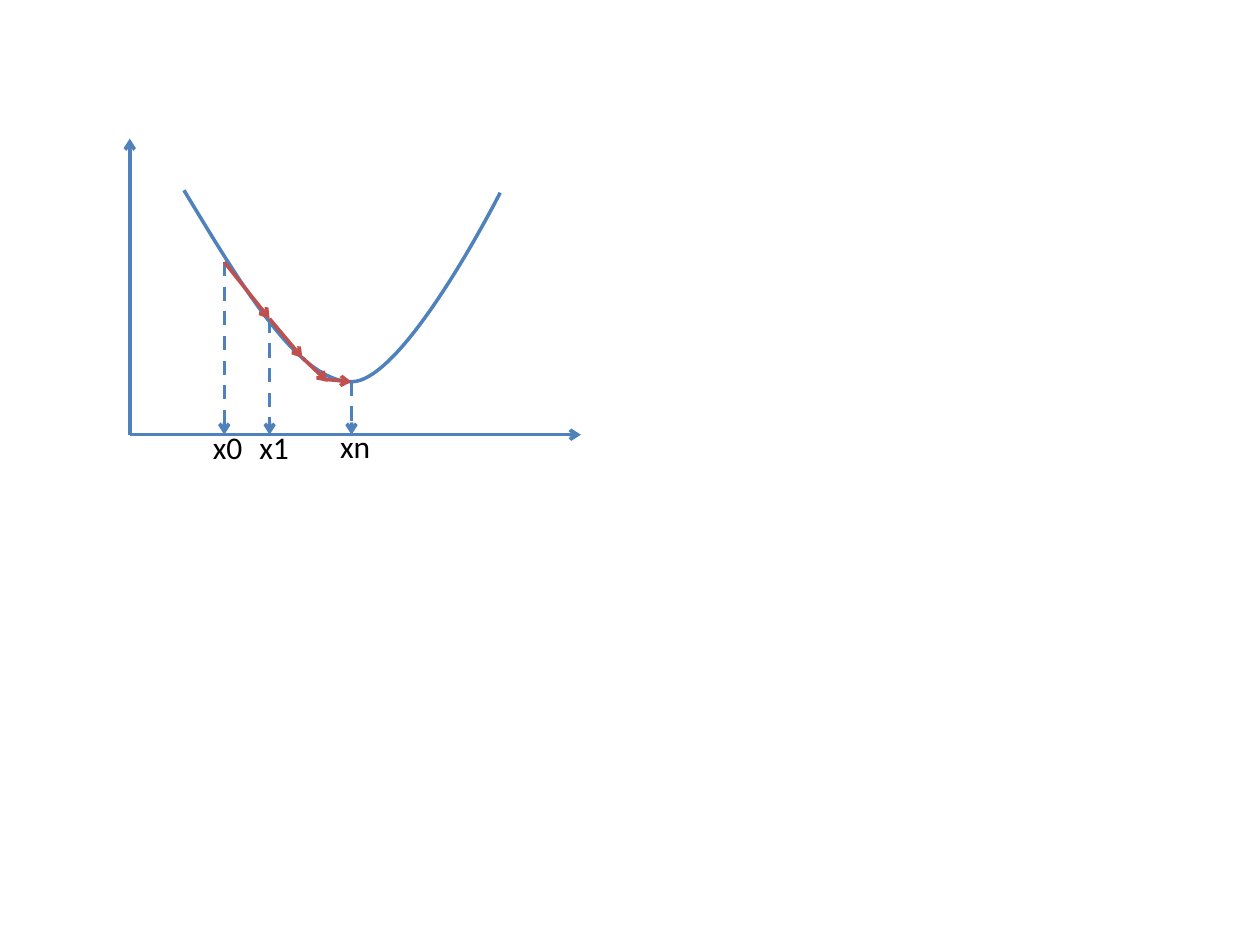
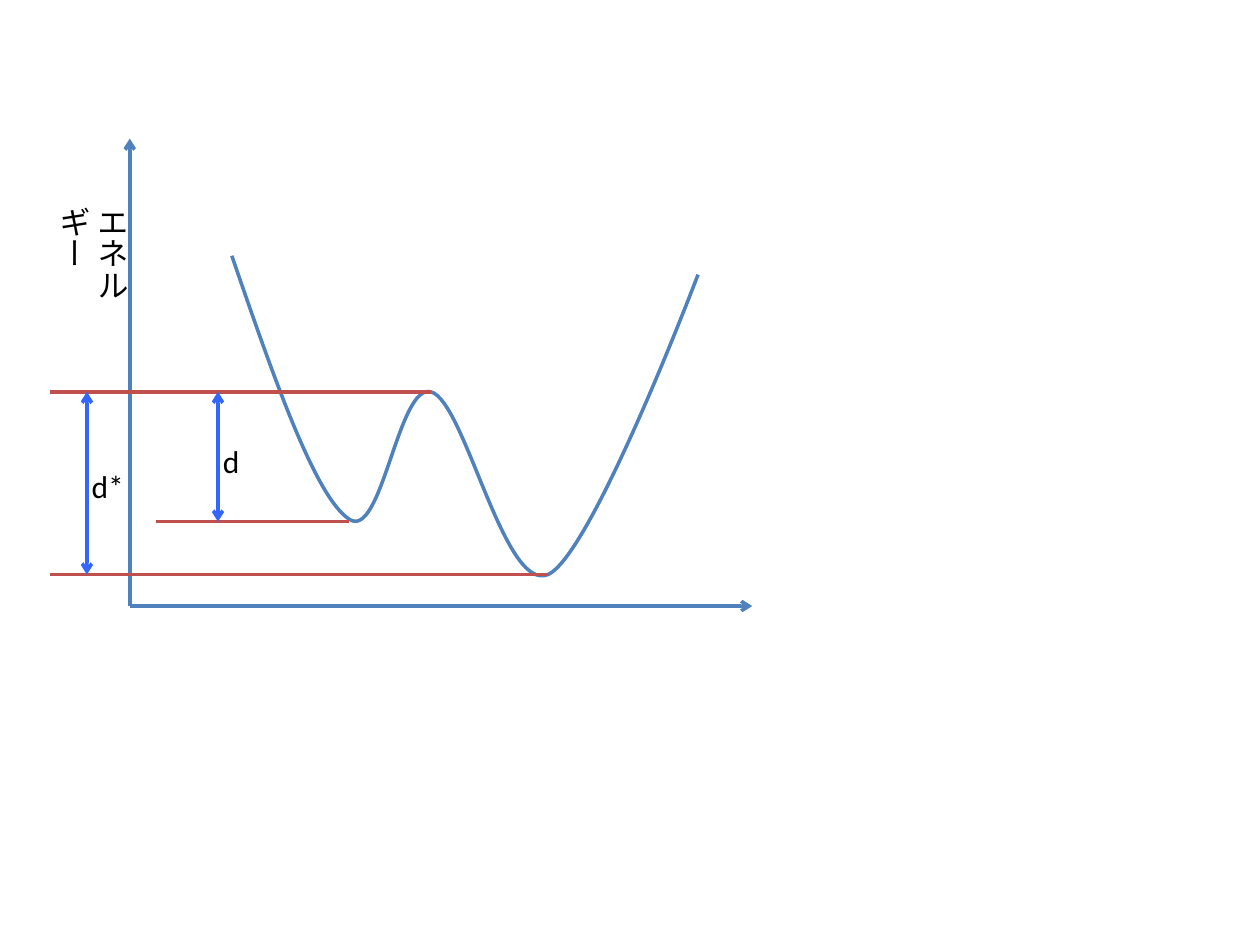
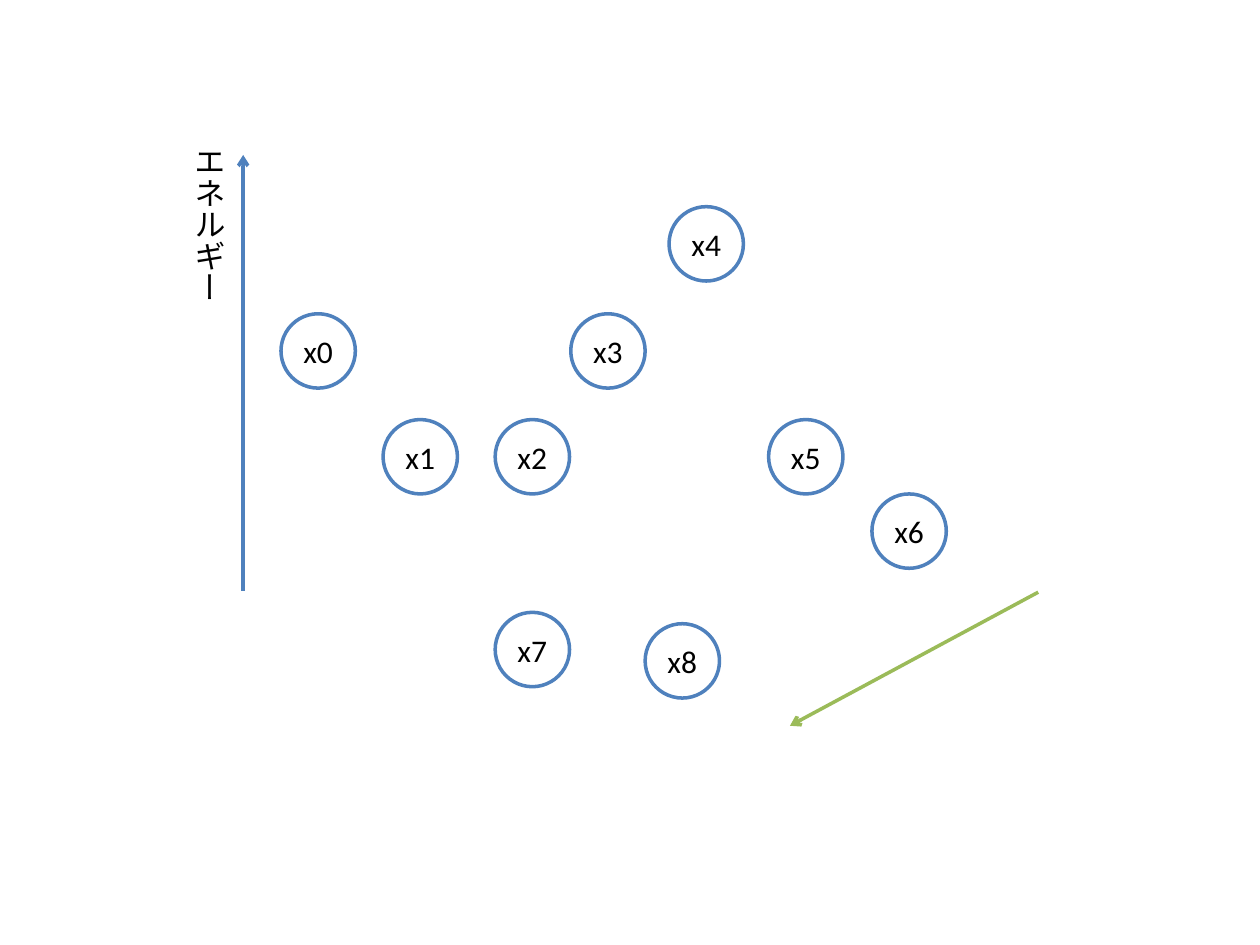
from pptx import Presentation
from pptx.dml.color import RGBColor
from pptx.enum.dml import MSO_LINE
from pptx.enum.shapes import MSO_CONNECTOR, MSO_SHAPE
from pptx.enum.text import MSO_ANCHOR, MSO_AUTO_SIZE, PP_ALIGN
from pptx.oxml.ns import qn
from pptx.util import Inches, Pt
from lxml import etree

BLUE = RGBColor(0x4F, 0x81, 0xBD)
RED = RGBColor(0xC0, 0x50, 0x4D)
GREEN = RGBColor(0x9B, 0xBB, 0x59)
BRIGHT_BLUE = RGBColor(0x33, 0x66, 0xFF)
BLACK = RGBColor(0, 0, 0)

DASH = MSO_LINE.DASH
STRAIGHT = MSO_CONNECTOR.STRAIGHT
OVAL = MSO_SHAPE.OVAL
MIDDLE = MSO_ANCHOR.MIDDLE
CENTER = PP_ALIGN.CENTER
GROW = MSO_AUTO_SIZE.SHAPE_TO_FIT_TEXT

BLANK_LAYOUT = 6
ENERGY = "エネルギー"


class Diagram:
    """Holds the shared style and the slide being drawn."""

    font = "Calibri"
    size = Pt(18)
    line_width = Pt(2)
    node_size = 0.59

    def __init__(self, deck):
        """Keep the presentation that receives the slides."""
        self.deck = deck
        self.shapes = None

    def new_slide(self, grouped=False):
        """Start a blank slide, drawing into one group if asked."""
        slide = self.deck.slides.add_slide(self.deck.slide_layouts[BLANK_LAYOUT])
        self.shapes = slide.shapes
        if grouped:
            self.shapes = slide.shapes.add_group_shape().shapes

    def style_line(self, line, color):
        """Give an outline the shared width and a colour."""
        line.color.rgb = color
        line.width = self.line_width

    def line(self, start, end, color=BLUE, dashed=False, ends=()):
        """Draw a straight line; ends names the ends that carry an arrow."""
        connector = self.shapes.add_connector(
            STRAIGHT, *(Inches(value) for value in (*start, *end)))
        self.style_line(connector.line, color)
        if dashed:
            connector.line.dash_style = DASH
        outline = connector.get_or_add_ln()
        for end_name in ends:
            etree.SubElement(outline, qn(f"a:{end_name}"), type="arrow")
        etree.SubElement(connector.element.spPr, qn("a:effectLst"))

    def arrow(self, start, end, color=BLUE, dashed=False):
        """Draw a line with an arrowhead at its end."""
        self.line(start, end, color, dashed, ("tailEnd",))

    def double_arrow(self, start, end, color):
        """Draw a line with an arrowhead at both ends."""
        self.line(start, end, color, ends=("headEnd", "tailEnd"))

    def curve(self, points):
        """Draw a cubic Bezier: a start, then two handles and a knot each."""
        start, *rest = [(Inches(x), Inches(y)) for x, y in points]
        builder = self.shapes.build_freeform(*start)
        builder.add_line_segments(rest, close=False)
        shape = builder.convert_to_shape()
        shape.shadow.inherit = False
        shape.fill.background()
        self.style_line(shape.line, BLUE)
        segments = list(shape.element.iter(qn("a:lnTo")))
        for first in range(0, len(segments), 3):
            triple = segments[first:first + 3]
            bezier = etree.Element(qn("a:cubicBezTo"))
            triple[0].addprevious(bezier)
            for segment in triple:
                bezier.append(segment[0])
                segment.getparent().remove(segment)

    def add_text(self, paragraph, text):
        """Add one run in the shared font."""
        run = paragraph.add_run()
        run.text = text
        run.font.name = self.font
        run.font.size = self.size
        run.font.color.rgb = BLACK

    def label(self, text, left, top, width, height=0.4, wrap=True, vertical=False):
        """Add a text box, with upright East Asian text if vertical."""
        box = self.shapes.add_textbox(
            *(Inches(value) for value in (left, top, width, height)))
        frame = box.text_frame
        frame.word_wrap = wrap
        frame.auto_size = GROW
        if vertical:
            box.element.txBody.bodyPr.set("vert", "eaVert")
        self.add_text(frame.paragraphs[0], text)

    def node(self, text, left, top):
        """Draw an outlined circle with a centred name."""
        side = Inches(self.node_size)
        circle = self.shapes.add_shape(OVAL, Inches(left), Inches(top), side, side)
        circle.shadow.inherit = False
        circle.fill.background()
        self.style_line(circle.line, BLUE)
        frame = circle.text_frame
        frame.word_wrap = False
        frame.vertical_anchor = MIDDLE
        frame.paragraphs[0].alignment = CENTER
        self.add_text(frame.paragraphs[0], text)

    def axes(self, floor, right):
        """Draw both axes from a shared origin."""
        origin = (1.03, floor)
        self.arrow(origin, (1.03, 1.1))
        self.arrow(origin, (right, floor))


def draw_descent(diagram):
    """Steps down a single valley to its minimum."""
    diagram.new_slide(grouped=True)
    floor = 3.45
    diagram.curve([(1.46, 1.51), (1.92, 2.27), (2.37, 3.03), (2.79, 3.03),
                   (3.21, 3.03), (3.97, 1.53), (3.97, 1.53)])
    diagram.axes(floor, 4.61)
    drops = [("x0", 1.78, 2.08, 1.59, 3.35),
             ("x1", 2.14, 2.53, 1.96, 3.35),
             ("xn", 2.79, 3.03, 2.6, 3.34)]
    for name, x, y, label_left, label_top in drops:
        diagram.arrow((x, y), (x, floor), dashed=True)
        diagram.label(name, label_left, label_top, 1.01)
    steps = [(1.78, 2.08), (2.14, 2.53), (2.4, 2.84), (2.6, 3.03)]
    for start, end in zip(steps, steps[1:]):
        diagram.arrow(start, end, RED)
    diagram.arrow((2.57, 3.01), (2.79, 3.03), RED)


def draw_barrier(diagram):
    """Two valleys with the depth of each below the peak between them."""
    diagram.new_slide(grouped=True)
    peak, shallow, deep = 3.11, 4.14, 4.56
    diagram.curve([(1.84, 2.03), (2.17, 2.99), (2.5, 3.94), (2.77, 4.12),
                   (3.03, 4.3), (3.16, 3.04), (3.42, peak),
                   (3.69, 3.18), (4, 4.71), (4.35, deep),
                   (4.7, 4.4), (5.54, 2.18), (5.54, 2.18)])
    diagram.axes(4.81, 5.97)
    for level, right, left in ((shallow, 2.77, 1.24), (peak, 3.42, 0.4), (deep, 4.35, 0.4)):
        diagram.line((right, level), (left, level), RED)
    diagram.double_arrow((1.73, peak), (1.73, shallow), BRIGHT_BLUE)
    diagram.label("d", 1.67, 3.46, 0.33, wrap=False)
    diagram.label("d*", 0.63, 3.66, 0.46, wrap=False)
    diagram.double_arrow((0.69, peak), (0.69, deep), BRIGHT_BLUE)
    diagram.label(ENERGY, 0.59, 1.54, 0.5, 1.42, vertical=True)


def draw_states(diagram):
    """States placed by their energy."""
    diagram.new_slide()
    diagram.arrow((1.93, 4.69), (1.93, 1.23))
    diagram.label(ENERGY, 1.36, 1.06, 0.5, 1.73, vertical=True)
    diagram.arrow((8.24, 4.7), (6.27, 5.76), GREEN)
    states = [(2.23, 2.49), (3.04, 3.33), (3.93, 3.33), (4.53, 2.49), (5.31, 1.64),
              (6.1, 3.33), (6.92, 3.92), (3.93, 4.86), (5.12, 4.95)]
    for number, (left, top) in enumerate(states):
        diagram.node(f"x{number}", left, top)


def main():
    """Build the three slides and save them."""
    deck = Presentation()
    deck.slide_width = Inches(10)
    deck.slide_height = Inches(7.5)
    diagram = Diagram(deck)
    draw_descent(diagram)
    draw_barrier(diagram)
    draw_states(diagram)
    deck.save("out.pptx")


main()
